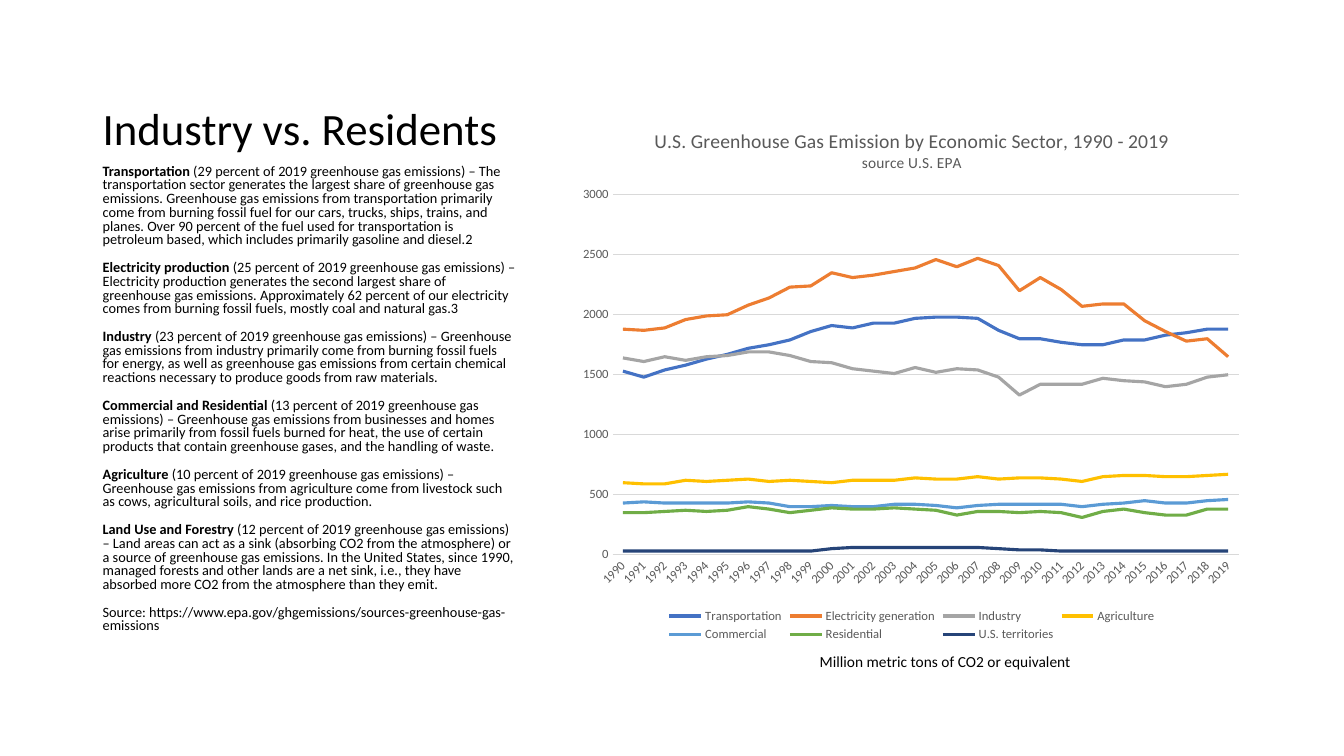
import dataclasses
import pptx
import pptx.chart.data
import pptx.dml.color
import pptx.enum.chart
import pptx.enum.text
import pptx.oxml
import pptx.oxml.ns
import pptx.util


@dataclasses.dataclass(frozen=True)
class Theme:
    font: str = "Calibri"
    ink: str = "000000"
    grey: str = "595959"
    grid: str = "D9D9D9"
    lines: tuple = ("4472C4", "ED7D31", "A5A5A5", "FFC000", "5B9BD5", "70AD47", "264478")
    head: float = 32
    body: float = 10.2
    note: float = 11
    title: float = 14
    sub: float = 11
    label: float = 9
    chart: float = 10
    thick: float = 2.25
    thin: float = 0.75


SCALE = 9144
HEAD = "Industry vs. Residents"
NOTE = "Million metric tons of CO2 or equivalent"
TITLE = ("U.S. Greenhouse Gas Emission by Economic Sector, 1990 - 2019", "source U.S. EPA")
BODY = [
    ("Transportation", " (29 percent of 2019 greenhouse gas emissions) – The transportation sector generates the largest share of greenhouse gas emissions. Greenhouse gas emissions from transportation primarily come from burning fossil fuel for our cars, trucks, ships, trains, and planes. Over 90 percent of the fuel used for transportation is petroleum based, which includes primarily gasoline and diesel.2"),
    ("Electricity production ", "(25 percent of 2019 greenhouse gas emissions) – Electricity production generates the second largest share of greenhouse gas emissions. Approximately 62 percent of our electricity comes from burning fossil fuels, mostly coal and natural gas.3"),
    ("Industry ", "(23 percent of 2019 greenhouse gas emissions) – Greenhouse gas emissions from industry primarily come from burning fossil fuels for energy, as well as greenhouse gas emissions from certain chemical reactions necessary to produce goods from raw materials."),
    ("Commercial and Residential ", "(13 percent of 2019 greenhouse gas emissions) – Greenhouse gas emissions from businesses and homes arise primarily from fossil fuels burned for heat, the use of certain products that contain greenhouse gases, and the handling of waste."),
    ("Agriculture ", "(10 percent of 2019 greenhouse gas emissions) – Greenhouse gas emissions from agriculture come from livestock such as cows, agricultural soils, and rice production."),
    ("Land Use and Forestry ", "(12 percent of 2019 greenhouse gas emissions) – Land areas can act as a sink (absorbing CO2 from the atmosphere) or a source of greenhouse gas emissions. In the United States, since 1990, managed forests and other lands are a net sink, i.e., they have absorbed more CO2 from the atmosphere than they emit."),
    ("", "Source: https://www.epa.gov/ghgemissions/sources-greenhouse-gas-emissions"),
]
YEARS = [str(year) for year in range(1990, 2020)]
DATA = {
    "Transportation": [
        1530, 1480, 1540, 1580, 1630, 1670, 1720, 1750, 1790, 1860, 1910, 1890, 1930, 1930, 1970,
        1980, 1980, 1970, 1870, 1800, 1800, 1770, 1750, 1750, 1790, 1790, 1830, 1850, 1880, 1880],
    "Electricity generation": [
        1880, 1870, 1890, 1960, 1990, 2000, 2080, 2140, 2230, 2240, 2350, 2310, 2330, 2360, 2390,
        2460, 2400, 2470, 2410, 2200, 2310, 2210, 2070, 2090, 2090, 1950, 1860, 1780, 1800, 1650],
    "Industry": [
        1640, 1610, 1650, 1620, 1650, 1660, 1690, 1690, 1660, 1610, 1600, 1550, 1530, 1510, 1560,
        1520, 1550, 1540, 1480, 1330, 1420, 1420, 1420, 1470, 1450, 1440, 1400, 1420, 1480, 1500],
    "Agriculture": [
        600, 590, 590, 620, 610, 620, 630, 610, 620, 610, 600, 620, 620, 620, 640,
        630, 630, 650, 630, 640, 640, 630, 610, 650, 660, 660, 650, 650, 660, 670],
    "Commercial": [
        430, 440, 430, 430, 430, 430, 440, 430, 400, 400, 410, 400, 400, 420, 420,
        410, 390, 410, 420, 420, 420, 420, 400, 420, 430, 450, 430, 430, 450, 460],
    "Residential": [
        350, 350, 360, 370, 360, 370, 400, 380, 350, 370, 390, 380, 380, 390, 380,
        370, 330, 360, 360, 350, 360, 350, 310, 360, 380, 350, 330, 330, 380, 380],
    "U.S. territories": [30] * 10 + [50] + [60] * 7 + [50, 40, 40] + [30] * 9,
}


class Page:
    def __init__(self, deck, theme):
        self.theme = theme
        self.slide = deck.slides.add_slide(deck.slide_layouts[6])

    def paint(self, font, size, color, bold=False):
        font.name = self.theme.font
        font.size = pptx.util.Pt(size)
        font.bold = bold
        font.color.rgb = pptx.dml.color.RGBColor.from_string(color)

    def stroke(self, line, color, width):
        line.color.rgb = pptx.dml.color.RGBColor.from_string(color)
        line.width = pptx.util.Pt(width)

    def text(self, box, rows, size, space=1.0, gap=0, wrap=True, top=True, mid=False):
        frame = self.slide.shapes.add_textbox(*[n * SCALE for n in box]).text_frame
        frame.word_wrap = wrap
        anchor = pptx.enum.text.MSO_ANCHOR
        frame.vertical_anchor = anchor.TOP if top else anchor.BOTTOM
        for i, (lead, rest) in enumerate(rows):
            para = frame.add_paragraph() if i else frame.paragraphs[0]
            para.text = lead or rest
            para.line_spacing = space
            if i and gap:
                para.space_before = pptx.util.Pt(gap)
            if mid:
                para.alignment = pptx.enum.text.PP_ALIGN.CENTER
            if lead:
                para.add_run().text = rest
            for j, run in enumerate(para.runs):
                self.paint(run.font, size, self.theme.ink, bool(lead) and j == 0)

    def chart(self, box, title, cats, data):
        look = self.theme
        enums = pptx.enum.chart
        source = pptx.chart.data.CategoryChartData(number_format="General")
        source.categories = cats
        for name, vals in data.items():
            source.add_series(name, vals)
        chart = self.slide.shapes.add_chart(
            enums.XL_CHART_TYPE.LINE, *[n * SCALE for n in box], source).chart
        self.paint(chart.font, look.chart, look.ink)
        chart.plots[0].vary_by_categories = False
        for line, color in zip(chart.plots[0].series, look.lines):
            line.smooth = False
            self.stroke(line.format.line, color, look.thick)

        chart.has_title = True
        chart.chart_title.include_in_layout = False
        frame = chart.chart_title.text_frame
        frame.text = "\n".join(title)
        for para, size in zip(frame.paragraphs, (look.title, look.sub)):
            for run in para.runs:
                self.paint(run.font, size, look.grey)

        chart.has_legend = True
        chart.legend.position = enums.XL_LEGEND_POSITION.BOTTOM
        chart.legend.include_in_layout = False
        self.paint(chart.legend.font, look.label, look.grey)

        for axis in (chart.category_axis, chart.value_axis):
            axis.major_tick_mark = enums.XL_TICK_MARK.NONE
            axis.minor_tick_mark = enums.XL_TICK_MARK.NONE
            self.paint(axis.tick_labels.font, look.label, look.grey)
        self.stroke(chart.category_axis.format.line, look.grid, look.thin)
        chart.category_axis._element.txPr.find(
            pptx.oxml.ns.qn("a:bodyPr")).set("rot", "-2700000")
        chart.value_axis.minimum_scale = 0
        chart.value_axis.maximum_scale = 3000
        chart.value_axis.major_unit = 500
        chart.value_axis.format.line.fill.background()
        self.stroke(chart.value_axis.major_gridlines.format.line, look.grid, look.thin)
        self.place(chart, x=0.06, y=0.16, w=0.92, h=0.67)

    def place(self, chart, **sides):
        plot = chart._chartSpace.chart.plotArea
        for old in plot.findall(pptx.oxml.ns.qn("c:layout")):
            plot.remove(old)
        spots = "".join(f'<c:{k} val="{v}"/>' for k, v in sides.items())
        plot.insert(0, pptx.oxml.parse_xml(
            f'<c:layout {pptx.oxml.ns.nsdecls("c")}><c:manualLayout>'
            '<c:layoutTarget val="inner"/><c:xMode val="edge"/><c:yMode val="edge"/>'
            f'{spots}</c:manualLayout></c:layout>'))


def main():
    deck = pptx.Presentation()
    deck.slide_width = 1333 * SCALE
    deck.slide_height = 750 * SCALE
    theme = Theme()
    page = Page(deck, theme)
    page.text((92, 50, 430, 109), [("", HEAD)], theme.head, space=0.9, top=False)
    page.text((92, 159, 430, 483), BODY, theme.body, space=0.8, gap=10)
    page.chart((567, 108, 675, 533), TITLE, YEARS, DATA)
    page.text((802, 642, 271, 29), [("", NOTE)], theme.note, wrap=False, mid=True)
    deck.save("out.pptx")


if __name__ == "__main__":
    main()
